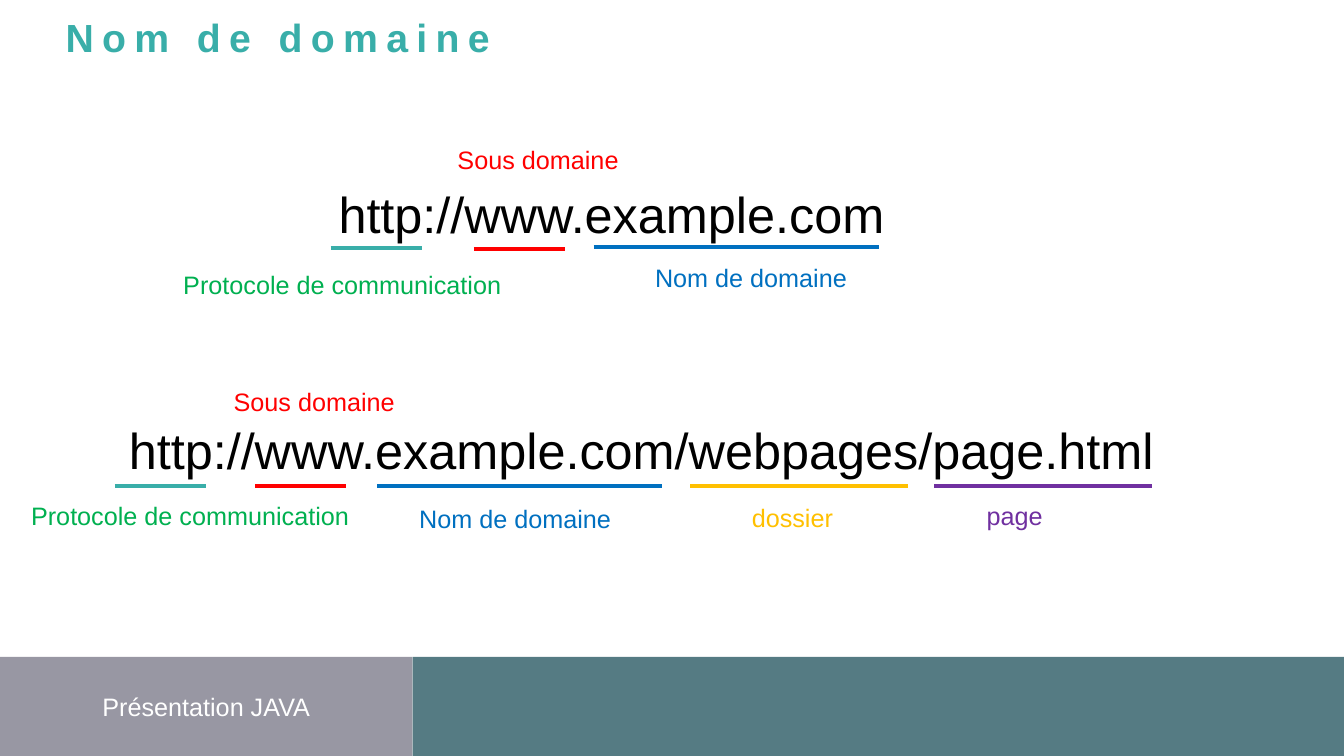
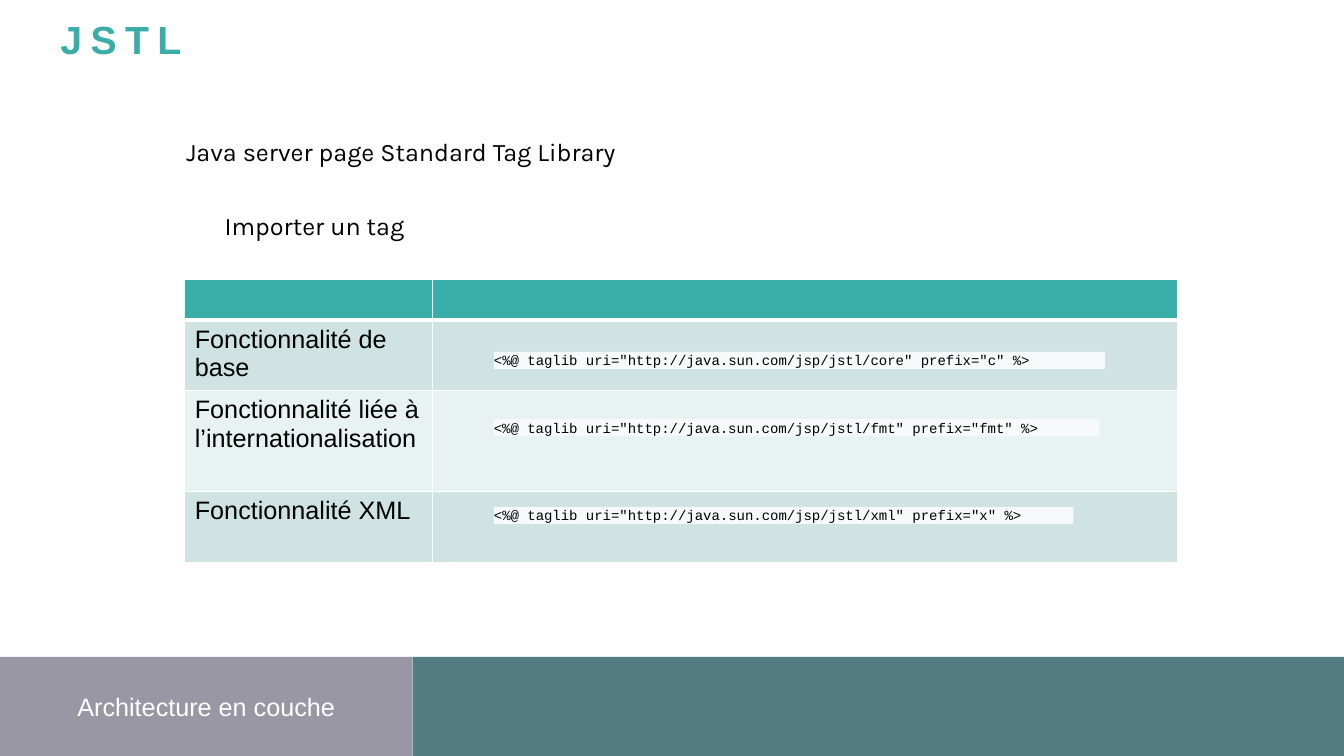
import pptx
import pptx.util
import pptx.dml.color
import pptx.enum.text
import pptx.enum.shapes
import pptx.oxml
import pptx.oxml.ns

Pt = pptx.util.Pt
ALIGN = pptx.enum.text.PP_ALIGN
ANCHOR = pptx.enum.text.MSO_ANCHOR
RECT = pptx.enum.shapes.MSO_SHAPE.RECTANGLE
LINE = pptx.enum.shapes.MSO_CONNECTOR.STRAIGHT
NS = pptx.oxml.ns.nsdecls("a")

WIDTH, HEIGHT = 960, 540
TEAL, WHITE, BLACK = "39AEA9", "FFFFFF", "000000"
GREY, SLATE, PALE = "9897A3", "557B83", "F8F9FA"
BAND_TOP, BAND_SPLIT = 469.3, 294.7

PARTS = {
    "protocol": ("Protocole de communication", "00B050", TEAL, 65.3),
    "sub": ("Sous domaine", "FF0000", "FF0000", 65.3),
    "domain": ("Nom de domaine", "0070C0", "0070C0", 203.8),
    "folder": ("dossier", "FFC000", "FFC000", 155.5),
    "page": ("page", "7030A0", "7030A0", 155.5),
}
LINKS = [
    ("http://www.example.com", (234.7, 127.4), [
        ("protocol", (236.2, 177.1), (123.8, 188.6)),
        ("sub", (338.4, 177.8), (319.7, 99.4)),
        ("domain", (424.1, 176.4), (460.8, 183.6)),
    ]),
    ("http://www.example.com/webpages/page.html", (85, 295.9), [
        ("protocol", (82.1, 347), (15.1, 353.5)),
        ("sub", (182.2, 347), (159.8, 272.2)),
        ("domain", (269.3, 347), (292.3, 355.7)),
        ("folder", (493.2, 347), (529.9, 355)),
        ("page", (667.4, 347), (697.7, 353.5)),
    ]),
]
NOTES = [("Java server page Standard Tag Library", 126, 93.6),
         ("Importer un tag", 153.4, 146.9)]
COLS = [177, 532]
HEAD = 29.2
ROWS = [("Fonctionnalité de base", 50.4, "CEE3E2"),
        ("Fonctionnalité liée à l’internationalisation", 72, "E8F2F1"),
        ("Fonctionnalité XML", 50.4, "CEE3E2")]
TAGS = [
    ('<%@ taglib uri="http://java.sun.com/jsp/jstl/core" prefix="c" %>', 251.3, 436.5),
    ('<%@ taglib uri="http://java.sun.com/jsp/jstl/fmt" prefix="fmt" %>', 299.4, 432.5),
    ('<%@ taglib uri="http://java.sun.com/jsp/jstl/xml" prefix="x" %>', 362, 414),
]


def tint(code):
    return pptx.dml.color.RGBColor.from_string(code)


def write(frame, text, size=18, font="Arial", color=BLACK, bold=False,
          align=ALIGN.LEFT, anchor=ANCHOR.TOP, inset=None, lead=None, track=None):
    frame.word_wrap = True
    frame.vertical_anchor = anchor
    if inset is not None:
        frame.margin_left = frame.margin_right = Pt(inset)
        frame.margin_top = frame.margin_bottom = Pt(inset)
    para = frame.paragraphs[0]
    para.alignment = align
    if lead:
        para.line_spacing = Pt(lead)
    run = para.add_run()
    run.text = text
    run.font.size = Pt(size)
    run.font.name = font
    run.font.bold = bold
    run.font.color.rgb = tint(color)
    if track:
        run.font._element.set("spc", str(track * 100))


def add_text(slide, text, x, y, wide, high=29, **style):
    box = slide.shapes.add_textbox(Pt(x), Pt(y), Pt(wide), Pt(high))
    write(box.text_frame, text, **style)


def add_rect(slide, x, y, wide, high, fill):
    rect = slide.shapes.add_shape(RECT, Pt(x), Pt(y), Pt(wide), Pt(high))
    rect.shadow.inherit = False
    rect.fill.solid()
    rect.fill.fore_color.rgb = tint(fill)
    rect.line.fill.background()
    return rect


def add_line(slide, x, y, wide, color):
    line = slide.shapes.add_connector(LINE, Pt(x), Pt(y), Pt(x + wide), Pt(y))
    line.line.color.rgb = tint(color)
    line.line.width = Pt(3)
    line._element.spPr.append(pptx.oxml.parse_xml(f"<a:effectLst {NS}/>"))


def add_slide(deck, title, x, y, footer):
    slide = deck.slides.add_slide(deck.slide_layouts[5])
    head = slide.shapes.title
    head.left, head.top, head.width, head.height = Pt(x), Pt(y), Pt(465), Pt(25)
    head.text_frame.auto_size = pptx.enum.text.MSO_AUTO_SIZE.NONE
    write(head.text_frame, title, size=28, color=TEAL, bold=True,
          inset=0, lead=25, track=6)
    high = HEIGHT - BAND_TOP
    band = add_rect(slide, 0, BAND_TOP, BAND_SPLIT, high, GREY)
    write(band.text_frame, footer, color=WHITE,
          align=ALIGN.CENTER, anchor=ANCHOR.MIDDLE)
    add_rect(slide, BAND_SPLIT, BAND_TOP, WIDTH - BAND_SPLIT, high, SLATE)
    return slide


def paint(cell, fill, base):
    props = cell._tc.get_or_add_tcPr()
    for side, width in (("L", 1), ("R", 1), ("T", 1), ("B", base)):
        props.append(pptx.oxml.parse_xml(
            f'<a:ln{side} {NS} w="{Pt(width)}"><a:solidFill>'
            f'<a:srgbClr val="{WHITE}"/></a:solidFill></a:ln{side}>'))
    cell.fill.solid()
    cell.fill.fore_color.rgb = tint(fill)


def add_grid(slide, x, y):
    rows = [("", HEAD, TEAL)] + ROWS
    high = sum(row[1] for row in rows)
    grid = slide.shapes.add_table(len(rows), len(COLS), Pt(x), Pt(y),
                                  Pt(sum(COLS)), Pt(high)).table
    grid.horz_banding = False
    for col, wide in zip(grid.columns, COLS):
        col.width = Pt(wide)
    for i, (text, tall, fill) in enumerate(rows):
        grid.rows[i].height = Pt(tall)
        for cell in grid.rows[i].cells:
            paint(cell, fill, 1 if i else 3)
        if text:
            write(grid.cell(i, 0).text_frame, text)


def domain_slide(deck):
    slide = add_slide(deck, "Nom de domaine", 46.8, 18, "Présentation JAVA")
    for link, (x, y), parts in LINKS:
        add_text(slide, link, x, y, 781 if x < 100 else 555, 51, size=36)
        for key, start, spot in parts:
            label, color, stroke, wide = PARTS[key]
            add_line(slide, *start, wide, stroke)
            add_text(slide, label, *spot, 250, color=color)


def tag_slide(deck):
    slide = add_slide(deck, "JSTL", 43.2, 19.4, "Architecture en couche")
    for text, x, y in NOTES:
        add_text(slide, text, x, y, 376, font="Karla")
    add_grid(slide, 132, 199.6)
    for code, y, wide in TAGS:
        strip = add_rect(slide, 352.8, y, wide, 12.2, PALE)
        write(strip.text_frame, code, size=10, font="Courier New",
              anchor=ANCHOR.MIDDLE, inset=0)


def main():
    deck = pptx.Presentation()
    deck.slide_width, deck.slide_height = Pt(WIDTH), Pt(HEIGHT)
    domain_slide(deck)
    tag_slide(deck)
    deck.save("out.pptx")


if __name__ == "__main__":
    main()
